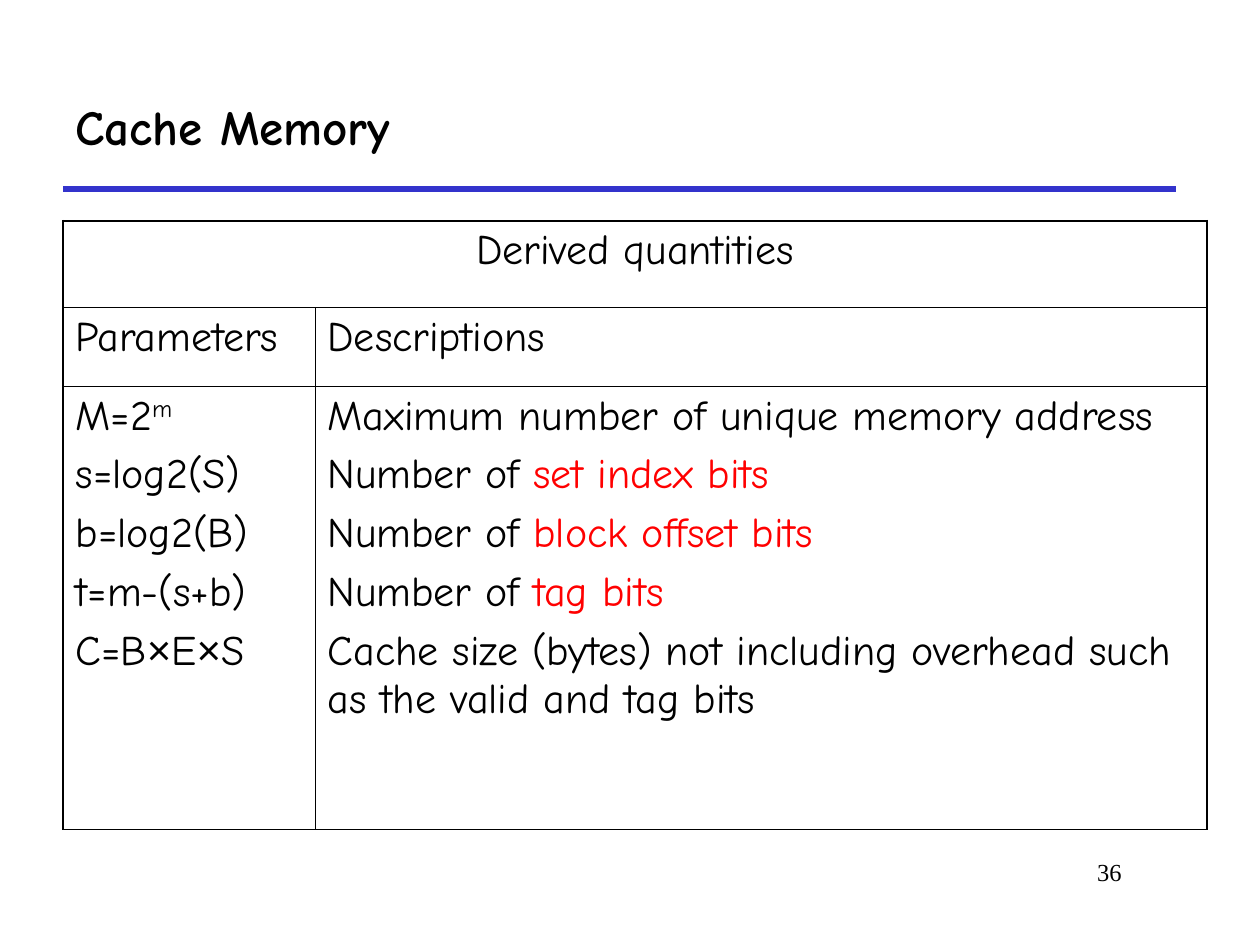
from lxml import etree
from pptx import Presentation
from pptx.dml.color import RGBColor
from pptx.enum.shapes import MSO_CONNECTOR
from pptx.enum.text import MSO_ANCHOR, PP_ALIGN
from pptx.oxml.ns import qn
from pptx.util import Cm, Pt

LEFT, CENTER, RIGHT = PP_ALIGN.LEFT, PP_ALIGN.CENTER, PP_ALIGN.RIGHT
MIDDLE = MSO_ANCHOR.MIDDLE
STRAIGHT = MSO_CONNECTOR.STRAIGHT
TITLE_ONLY = 5

COLORS = {"text": "000000", "accent": "FF0000", "rule": "3333CC"}
BODY_FONT, SYMBOL_FONT, NUMBER_FONT = "Comic Neue", "Arial", "Times New Roman"

# Content: each paragraph is a list of (text, format) spans
TITLE = "Cache Memory"
PAGE_NUMBER = "36"
TIMES = ("×", {"font": SYMBOL_FONT})
RED = {"color": "accent"}
QUANTITIES = [
    ([("M=2", {}), ("m", {"baseline": 30})],
     [("Maximum number of unique memory address", {})]),
    ([("s=log2(S)", {})], [("Number of ", {}), ("set index bits", RED)]),
    ([("b=log2(B)", {})], [("Number of ", {}), ("block offset bits", RED)]),
    ([("t=m-(s+b)", {})], [("Number of ", {}), ("tag bits", RED)]),
    ([("C=B", {}), TIMES, ("E", {}), TIMES, ("S", {})],
     [("Cache size (bytes) not including overhead such as the valid and tag bits", {})]),
]
ROWS = [
    [[[("Derived quantities", {})]], None],
    [[[("Parameters", {})]], [[("Descriptions", {})]]],
    [list(column) for column in zip(*QUANTITIES)],
]
COLUMN_WIDTHS = [5.08, 17.98]
ROW_HEIGHTS = [1.75, 1.58, 8.94]
OUTER_LINE, INNER_LINE = 1.08, 0.45


def write(frame, paragraphs, size=24, font=BODY_FONT, bold=False, align=LEFT, gap=6):
    frame.word_wrap = True
    for index, spans in enumerate(paragraphs):
        para = frame.add_paragraph() if index else frame.paragraphs[0]
        para.alignment = align
        para.space_before = Pt(gap if index else 0)
        for text, look in spans:
            span = para.add_run()
            span.text = text
            span.font.name = look.get("font", font)
            span.font.size = Pt(size)
            span.font.bold = bold
            span.font.color.rgb = RGBColor.from_string(COLORS[look.get("color", "text")])
            if "baseline" in look:
                span._r.get_or_add_rPr().set("baseline", str(look["baseline"] * 1000))


def add_borders(cell, outer_sides):
    properties = cell._tc.get_or_add_tcPr()
    for side in "LRTB":
        width = OUTER_LINE if side in outer_sides else INNER_LINE
        line = etree.SubElement(properties, qn("a:ln" + side), w=str(Pt(width)))
        fill = etree.SubElement(line, qn("a:solidFill"))
        etree.SubElement(fill, qn("a:srgbClr"), val=COLORS["text"])


deck = Presentation()
deck.slide_width, deck.slide_height = Cm(25.4), Cm(19.05)
page = deck.slides.add_slide(deck.slide_layouts[TITLE_ONLY])

# Rule under the title
rule = page.shapes.add_connector(STRAIGHT, Cm(1.27), Cm(3.81), Cm(23.7), Cm(3.81))
rule.line.color.rgb = RGBColor.from_string(COLORS["rule"])
rule.line.width = Pt(3)
etree.SubElement(rule._element.spPr, qn("a:effectLst"))

# Title
title = page.shapes.title
title.left, title.top, title.width, title.height = Cm(1.27), Cm(1.27), Cm(22.43), Cm(2.54)
title.text_frame.vertical_anchor = MIDDLE
write(title.text_frame, [[(TITLE, {})]], size=28, bold=True)

# Page number
number = page.shapes.add_textbox(Cm(19.25), Cm(17.15), Cm(3.61), Cm(1.27))
write(number.text_frame, [[(PAGE_NUMBER, {})]], size=14, font=NUMBER_FONT, align=RIGHT)

# Table of derived quantities
table = page.shapes.add_table(
    len(ROWS), len(COLUMN_WIDTHS), Cm(1.27), Cm(4.45),
    Cm(sum(COLUMN_WIDTHS)), Cm(sum(ROW_HEIGHTS))).table
table.first_row = table.horz_banding = False
for column, width in zip(table.columns, COLUMN_WIDTHS):
    column.width = Cm(width)
for row, height in zip(table.rows, ROW_HEIGHTS):
    row.height = Cm(height)
table.cell(0, 0).merge(table.cell(0, 1))

for r, contents in enumerate(ROWS):
    for c, paragraphs in enumerate(contents):
        cell = table.cell(r, c)
        outer_sides = "L" if c == 0 else "R"
        if r == 0:
            outer_sides += "TLR"
        if r == len(ROWS) - 1:
            outer_sides += "B"
        add_borders(cell, outer_sides)
        cell.fill.background()
        if paragraphs:
            write(cell.text_frame, paragraphs, align=CENTER if r == 0 else LEFT)

deck.save("out.pptx")
